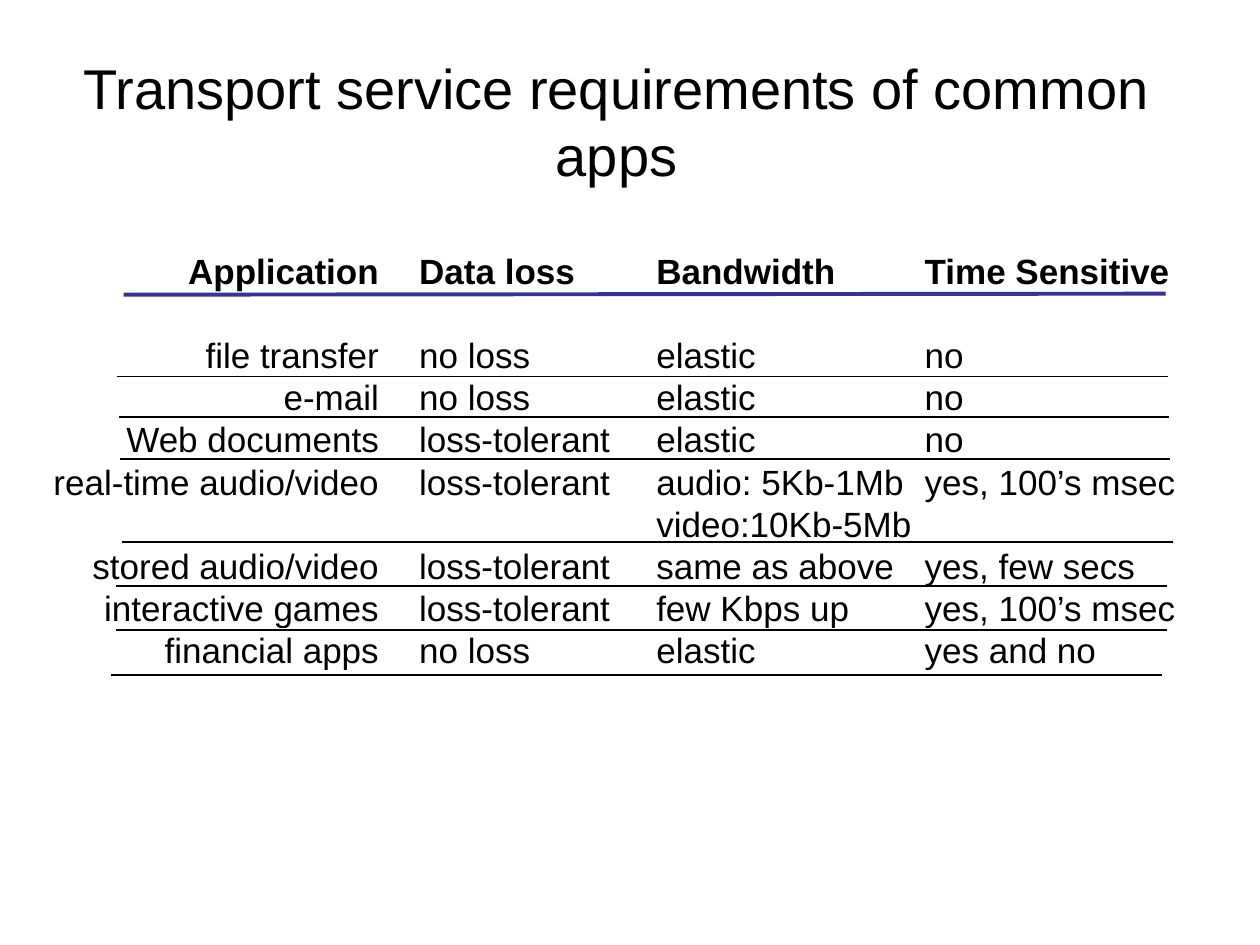
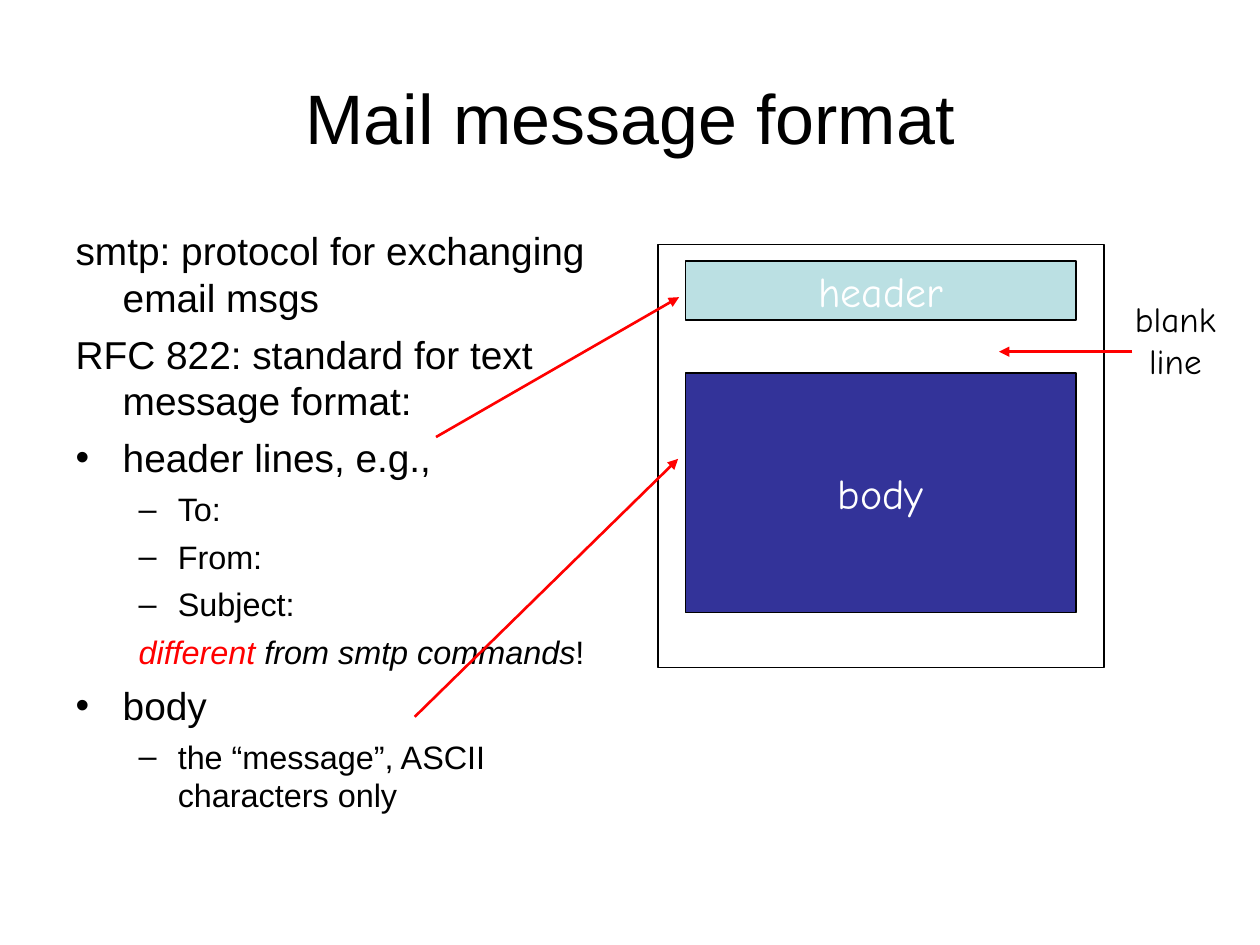
from dataclasses import dataclass

from lxml import etree
from pptx import Presentation
from pptx.dml.color import RGBColor
from pptx.enum.shapes import MSO_CONNECTOR, MSO_SHAPE
from pptx.enum.text import MSO_ANCHOR, MSO_AUTO_SIZE, PP_ALIGN
from pptx.oxml.ns import qn
from pptx.util import Cm, Pt

LEFT, CENTER, RIGHT = PP_ALIGN.LEFT, PP_ALIGN.CENTER, PP_ALIGN.RIGHT
TOP, MIDDLE = MSO_ANCHOR.TOP, MSO_ANCHOR.MIDDLE
NO_AUTOFIT = MSO_AUTO_SIZE.NONE
RECTANGLE = MSO_SHAPE.RECTANGLE
STRAIGHT = MSO_CONNECTOR.STRAIGHT


@dataclass(frozen=True)
class Theme:
    font: str = "Arial"
    diagram_font: str = "Comic Neue"
    black: str = "000000"
    white: str = "FFFFFF"
    red: str = "FF0000"
    indigo: str = "333399"
    pale_teal: str = "BBE0E3"
    title_size: float = 40
    long_title_size: float = 32
    list_size: float = 22.2
    sublist_size: float = 18.5
    table_size: float = 20
    label_size: float = 24
    note_size: float = 20
    line_spacing: float = 1.2


THEME = Theme()

TABLE_LEFT, TABLE_TOP, ROW_HEIGHT = 0.84, 5.03, 0.85
COLUMN_WIDTHS = (7.36, 4.78, 5.56, 5.59)
COLUMN_MARGINS = ((0, 0.56), (0.25, 0), (0.25, 0), (0.1, 0))
HEADINGS = ("Application", "Data loss", "Bandwidth", "Time Sensitive")
APPLICATIONS = (
    ("file transfer", "no loss", "elastic", "no"),
    ("e-mail", "no loss", "elastic", "no"),
    ("Web documents", "loss-tolerant", "elastic", "no"),
    ("real-time audio/video", "loss-tolerant",
     "audio: 5Kb-1Mb\nvideo:10Kb-5Mb", "yes, 100’s msec"),
    ("stored audio/video", "loss-tolerant", "same as above", "yes, few secs"),
    ("interactive games", "loss-tolerant", "few Kbps up", "yes, 100’s msec"),
    ("financial apps", "no loss", "elastic", "yes and no"),
)
RULE_LENGTH = 21.18
RULE_STARTS = ((2.36, 7.59), (2.39, 8.41), (2.41, 9.25), (2.46, 10.92),
               (2.34, 11.81), (2.34, 12.7), (2.24, 13.61))

LIST_LEVELS = (
    {"size": THEME.list_size, "margin": 0.95, "hanging": 0.95, "before": 6},
    {"size": THEME.sublist_size, "margin": 2.06, "hanging": 0.79, "before": 5},
)
MESSAGE_LIST = (
    (0, None, "smtp: protocol for exchanging email msgs"),
    (0, None, "RFC 822: standard for text message format:"),
    (0, "•", "header lines, e.g.,"),
    (1, "–", "To:"),
    (1, "–", "From:"),
    (1, "–", "Subject:"),
    (1, None, (("different ", {"color": THEME.red, "italic": True}),
               ("from smtp commands", {"italic": True}),
               ("!", {}))),
    (0, "•", "body"),
    (1, "–", "the “message”, ASCII characters only"),
)


def rgb(color):
    return RGBColor.from_string(color)


def write_text(paragraph, text, *, size, font=THEME.font, color=THEME.black,
               bold=False, italic=False, align=LEFT):
    paragraph.alignment = align
    paragraph.line_spacing = Pt(round(size * THEME.line_spacing, 1))
    run = paragraph.add_run()
    run.text = text
    run.font.name = font
    run.font.size = Pt(size)
    run.font.bold = bold
    run.font.italic = italic
    run.font.color.rgb = rgb(color)


def write_lines(text_frame, text, **text_format):
    for index, line in enumerate(text.split("\n")):
        paragraph = text_frame.add_paragraph() if index else text_frame.paragraphs[0]
        write_text(paragraph, line, **text_format)


def place(shape, left, top, width, height):
    shape.left, shape.top = Cm(left), Cm(top)
    shape.width, shape.height = Cm(width), Cm(height)


def add_title(slide, text, box, size):
    title = slide.shapes.title
    place(title, *box)
    title.text_frame.auto_size = NO_AUTOFIT
    title.text_frame.vertical_anchor = MIDDLE
    write_lines(title.text_frame, text, size=size, align=CENTER)


def add_line(slide, start, end, color, width, arrow=False):
    connector = slide.shapes.add_connector(STRAIGHT, *map(Cm, start + end))
    connector.line.color.rgb = rgb(color)
    connector.line.width = Pt(width)
    properties = connector._element.spPr
    if arrow:
        etree.SubElement(properties.find(qn("a:ln")), qn("a:tailEnd"), type="triangle")
    etree.SubElement(properties, qn("a:effectLst"))


def add_box(slide, box, fill=None, line_width=0.75, label=None):
    shape = slide.shapes.add_shape(RECTANGLE, *map(Cm, box))
    shape.shadow.inherit = False
    shape.line.color.rgb = rgb(THEME.black)
    shape.line.width = Pt(line_width)
    if fill:
        shape.fill.solid()
        shape.fill.fore_color.rgb = rgb(fill)
    else:
        shape.fill.background()
    if label:
        shape.text_frame.word_wrap = False
        shape.text_frame.vertical_anchor = MIDDLE
        write_lines(shape.text_frame, label, size=THEME.label_size,
                    font=THEME.diagram_font, color=THEME.white, align=CENTER)


def add_note(slide, text, box):
    note = slide.shapes.add_textbox(*map(Cm, box))
    note.text_frame.word_wrap = False
    write_lines(note.text_frame, text, size=THEME.note_size,
                font=THEME.diagram_font, align=CENTER)


def set_bullet(paragraph, bullet, margin, hanging):
    properties = paragraph._p.get_or_add_pPr()
    properties.set("marL", str(Cm(margin)))
    properties.set("indent", str(-Cm(hanging)))
    if bullet:
        etree.SubElement(properties, qn("a:buChar"), char=bullet)
    else:
        etree.SubElement(properties, qn("a:buNone"))


def add_list(slide, items, box):
    body = slide.placeholders[1]
    place(body, *box)
    text_frame = body.text_frame
    text_frame.auto_size = NO_AUTOFIT
    for index, (level, bullet, content) in enumerate(items):
        style = LIST_LEVELS[level]
        paragraph = text_frame.add_paragraph() if index else text_frame.paragraphs[0]
        paragraph.level = level
        paragraph.space_before = Pt(style["before"])
        runs = ((content, {}),) if isinstance(content, str) else content
        for text, text_format in runs:
            write_text(paragraph, text, size=style["size"], **text_format)
        set_bullet(paragraph, bullet, style["margin"], style["hanging"])


def add_requirements_table(slide):
    rows = (HEADINGS,) + APPLICATIONS
    line_counts = [2] + [max(text.count("\n") + 1 for text in row) for row in APPLICATIONS]
    frame = slide.shapes.add_table(
        len(rows), len(HEADINGS), Cm(TABLE_LEFT), Cm(TABLE_TOP),
        Cm(sum(COLUMN_WIDTHS)), Cm(ROW_HEIGHT * sum(line_counts)))
    table = frame.table
    table.first_row = False
    table.horz_banding = False
    for column, width in zip(table.columns, COLUMN_WIDTHS):
        column.width = Cm(width)
    for row_index, (row, line_count) in enumerate(zip(rows, line_counts)):
        table.rows[row_index].height = Cm(ROW_HEIGHT * line_count)
        for column_index, text in enumerate(row):
            cell = table.cell(row_index, column_index)
            cell.fill.background()
            cell.vertical_anchor = TOP
            cell.margin_top = cell.margin_bottom = 0
            cell.margin_left, cell.margin_right = map(Cm, COLUMN_MARGINS[column_index])
            write_lines(cell.text_frame, text, size=THEME.table_size,
                        bold=row_index == 0, align=LEFT if column_index else RIGHT)


def add_requirements_slide(presentation):
    slide = presentation.slides.add_slide(presentation.slide_layouts[5])
    add_title(slide, "Transport service requirements of common apps",
              (1.04, 0.84, 22.78, 3.18), THEME.long_title_size)
    add_requirements_table(slide)
    add_line(slide, (2.49, 5.94), (23.5, 5.92), THEME.indigo, 2.25)
    for left, top in RULE_STARTS:
        add_line(slide, (left, top), (left + RULE_LENGTH, top), THEME.black, 1)


def add_mail_slide(presentation):
    slide = presentation.slides.add_slide(presentation.slide_layouts[1])
    add_title(slide, "Mail message format", (1.27, 0.76, 22.86, 3.18), THEME.title_size)
    add_list(slide, MESSAGE_LIST, (1.27, 4.45, 11.2, 12.57))
    add_box(slide, (13.82, 5.26, 7.87, 1.19), THEME.pale_teal, label="header")
    add_box(slide, (13.82, 7.52, 7.87, 4.83), THEME.indigo, label="body")
    add_box(slide, (13.26, 4.93, 8.99, 8.53), line_width=1)
    add_note(slide, "blank\nline", (22.63, 5.87, 2.13, 1.96))
    for start, end in (((8.79, 8.81), (13.69, 5.99)),
                       ((8.36, 14.45), (13.67, 9.25)),
                       ((22.83, 7.09), (20.14, 7.09))):
        add_line(slide, start, end, THEME.red, 1.5, arrow=True)


def main():
    presentation = Presentation()
    presentation.slide_width, presentation.slide_height = Cm(25.4), Cm(19.05)
    add_requirements_slide(presentation)
    add_mail_slide(presentation)
    presentation.save("out.pptx")


if __name__ == "__main__":
    main()
